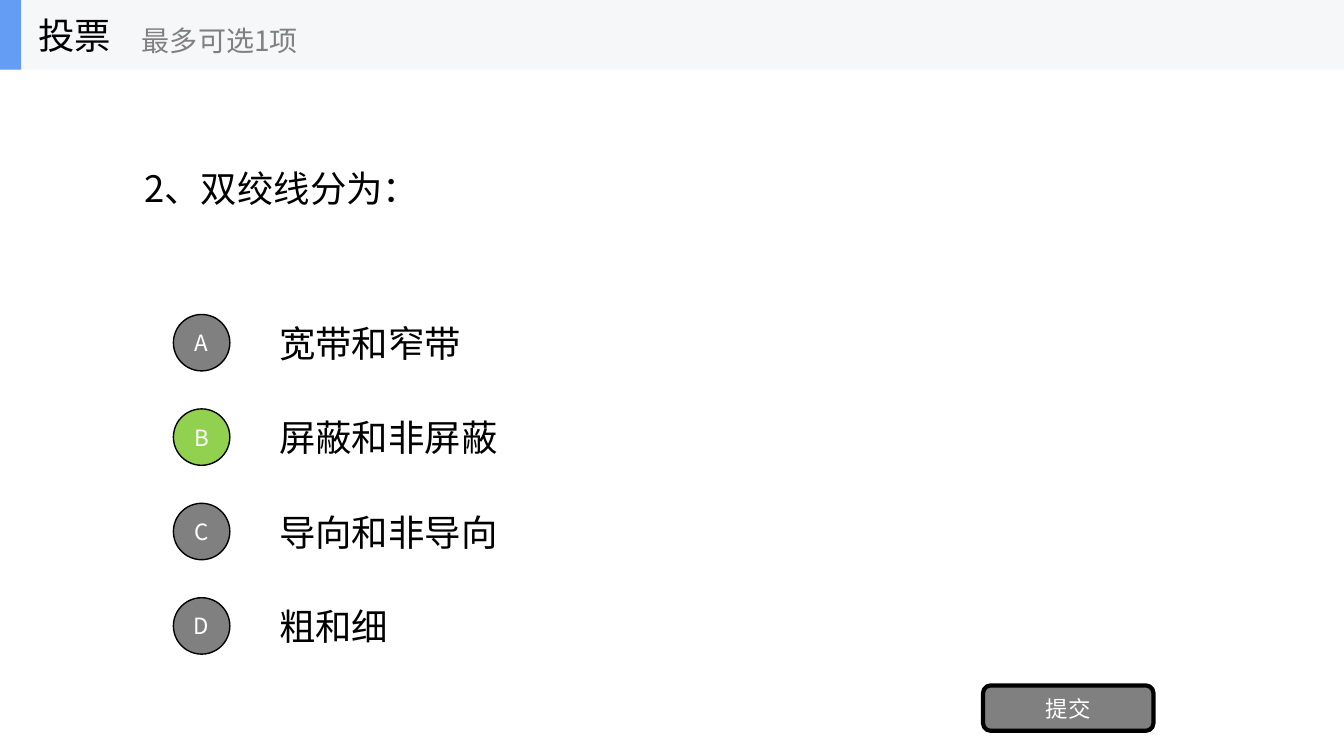
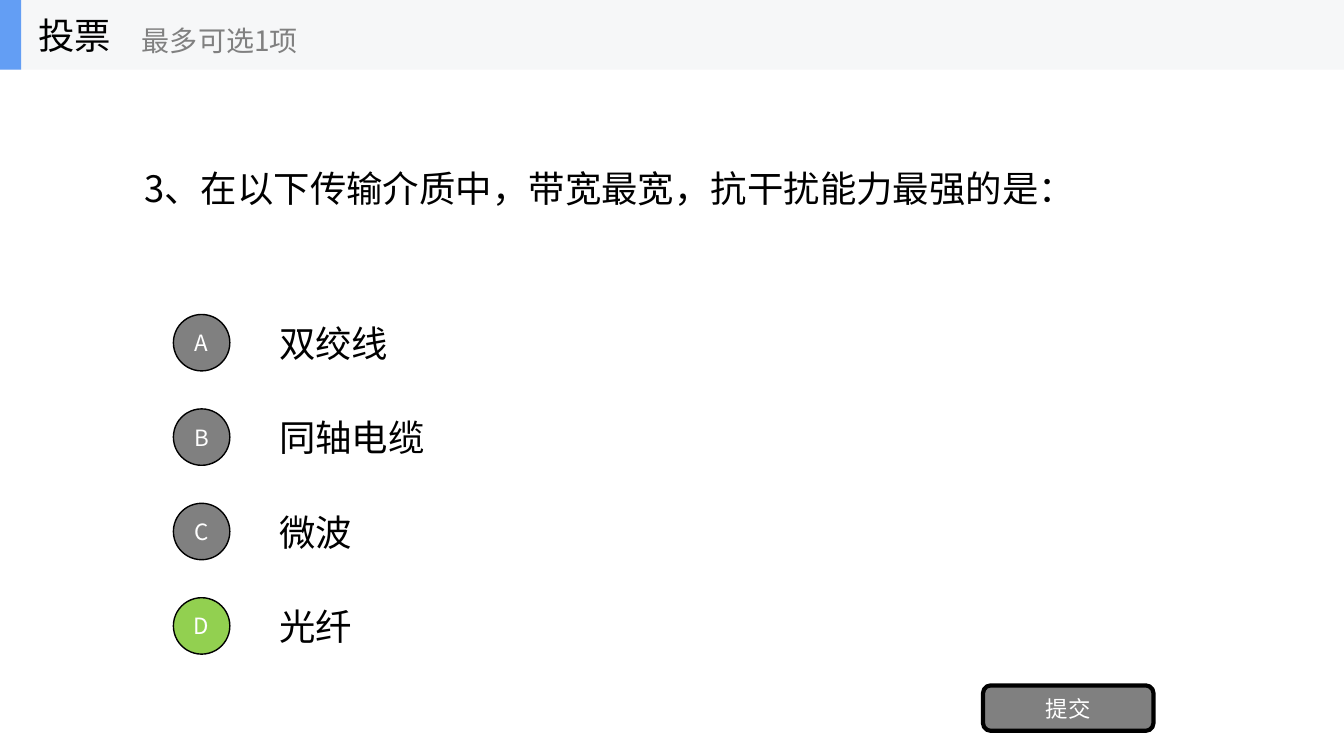
from lxml import etree
from pptx import Presentation
from pptx.dml.color import RGBColor
from pptx.enum.lang import MSO_LANGUAGE_ID as Language
from pptx.enum.shapes import MSO_SHAPE as Shape
from pptx.enum.text import MSO_ANCHOR as Anchor, MSO_AUTO_SIZE as AutoSize, PP_ALIGN as Align
from pptx.oxml.ns import qn
from pptx.util import Inches, Pt

FONT = "Noto Sans CJK SC"
BLACK, WHITE, GREY, GREEN = "000000", "FFFFFF", "808080", "92D050"
BAND, ACCENT = "F6F7F8", "639EF4"

SLIDE_WIDTH, SLIDE_HEIGHT = 13.33, 7.5
BAND_HEIGHT = 0.69
FIRST_OPTION_TOP, LAST_OPTION_TOP, OPTION_HEIGHT = 3.05, 5.86, 0.7
BADGE_LEFT, BADGE_SIZE = 1.72, 0.56

HEADING, HINT, SUBMIT = "投票", "最多可选1项", "提交"
POLLS = [
    {
        "question": "2、双绞线分为：",
        "options": ["宽带和窄带", "屏蔽和非屏蔽", "导向和非导向", "粗和细"],
        "answer": "B",
    },
    {
        "question": "3、在以下传输介质中，带宽最宽，抗干扰能力最强的是：",
        "options": ["双绞线", "同轴电缆", "微波", "光纤"],
        "answer": "D",
    },
]


def color(hex_value):
    return RGBColor.from_string(hex_value)


def write(shape, text, size, text_color, align=Align.LEFT):
    frame = shape.text_frame
    frame.text = text
    frame.word_wrap = True
    frame.auto_size = AutoSize.NONE
    frame.vertical_anchor = Anchor.MIDDLE
    paragraph = frame.paragraphs[0]
    paragraph.alignment = align
    for run in paragraph.runs:
        run.font.size = Pt(size)
        run.font.name = FONT
        run.font.color.rgb = color(text_color)
        run.font.language_id = Language.SIMPLIFIED_CHINESE
        east_asian = etree.SubElement(run._r.get_or_add_rPr(), qn("a:ea"))
        east_asian.set("typeface", FONT)


def add_text(shapes, box, text, size, text_color=BLACK):
    write(shapes.add_textbox(*map(Inches, box)), text, size, text_color)


def add_filled(shapes, kind, box, fill, line_width=0):
    """Add a flat shape, outlined in black when line_width is set."""
    shape = shapes.add_shape(kind, *map(Inches, box))
    shape.shadow.inherit = False
    shape.fill.solid()
    shape.fill.fore_color.rgb = color(fill)
    if line_width:
        shape.line.color.rgb = color(BLACK)
        shape.line.width = Pt(line_width)
    else:
        shape.line.fill.background()
    return shape


def add_header(slide):
    shapes = slide.shapes.add_group_shape().shapes
    add_filled(shapes, Shape.RECTANGLE, (0, 0, SLIDE_WIDTH, BAND_HEIGHT), BAND)
    add_filled(shapes, Shape.RECTANGLE, (0, 0, 0.21, BAND_HEIGHT), ACCENT)
    add_text(shapes, (0.28, 0, 2.08, BAND_HEIGHT), HEADING, 26)
    add_text(shapes, (1.31, 0.12, 2.5, 0.56), HINT, 20, GREY)


def add_question(slide, question):
    title = slide.shapes.title
    title.left, title.top = Inches(1.33), Inches(BAND_HEIGHT)
    title.width, title.height = Inches(10.67), Inches(2.34)
    write(title, question, 26, BLACK)


def add_options(slide, options, answer):
    pitch = (LAST_OPTION_TOP - FIRST_OPTION_TOP) / (len(options) - 1)
    for index, (letter, option) in enumerate(zip("ABCD", options)):
        top = FIRST_OPTION_TOP + index * pitch
        add_text(slide.shapes, (2.67, top, 9.33, OPTION_HEIGHT), option, 26)
        badge_top = top + (OPTION_HEIGHT - BADGE_SIZE) / 2
        badge = add_filled(
            slide.shapes, Shape.OVAL, (BADGE_LEFT, badge_top, BADGE_SIZE, BADGE_SIZE),
            GREEN if letter == answer else GREY, 1)
        write(badge, letter, 16, WHITE, Align.CENTER)


def add_submit_button(slide):
    button = add_filled(
        slide.shapes, Shape.ROUNDED_RECTANGLE, (9.75, 6.8, 1.69, 0.45), GREY, 3)
    write(button, SUBMIT, 16, WHITE, Align.CENTER)


def main():
    presentation = Presentation()
    presentation.slide_width = Inches(SLIDE_WIDTH)
    presentation.slide_height = Inches(SLIDE_HEIGHT)
    title_only = presentation.slide_layouts.get_by_name("Title Only")
    for poll in POLLS:
        slide = presentation.slides.add_slide(title_only)
        add_question(slide, poll["question"])
        add_options(slide, poll["options"], poll["answer"])
        add_submit_button(slide)
        add_header(slide)
    presentation.save("out.pptx")


if __name__ == "__main__":
    main()
